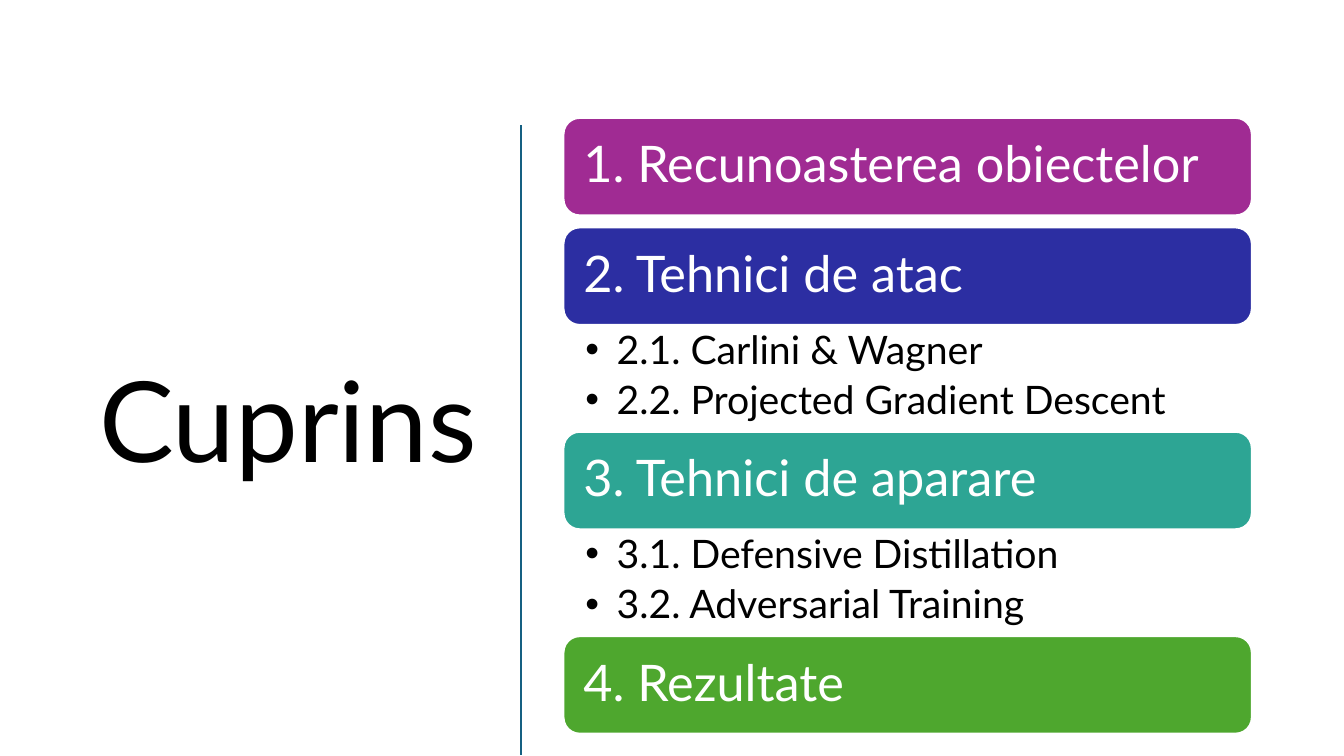
from dataclasses import dataclass

from lxml import etree
from pptx import Presentation
from pptx.dml.color import RGBColor
from pptx.enum.shapes import MSO_CONNECTOR, MSO_SHAPE
from pptx.enum.text import MSO_ANCHOR, MSO_AUTO_SIZE, PP_ALIGN
from pptx.oxml.ns import qn
from pptx.util import Cm, Pt

ROUNDED = MSO_SHAPE.ROUNDED_RECTANGLE
STRAIGHT = MSO_CONNECTOR.STRAIGHT
TOP, MIDDLE = MSO_ANCHOR.TOP, MSO_ANCHOR.MIDDLE
NO_AUTOFIT = MSO_AUTO_SIZE.NONE
LEFT, RIGHT = PP_ALIGN.LEFT, PP_ALIGN.RIGHT

FONT = "Lato"
TWO_CONTENT_LAYOUT = 3
CHAPTER_LEFT, CHAPTER_WIDTH = 14.2, 17.35
CHAPTER_TOP, CHAPTER_HEIGHT = 2.97, 2.46
CHAPTER_GAP = 0.3
TOPICS_HEIGHT = 2.69
TITLE_HEIGHT = 15.52
BULLET_INDENT = 0.79


@dataclass
class Chapter:
    heading: str
    color: str
    topics: tuple[str, ...] = ()


CHAPTERS = [
    Chapter("1. Recunoasterea obiectelor", "A02B93"),
    Chapter("2. Tehnici de atac", "2C2EA2",
            ("2.1. Carlini & Wagner", "2.2. Projected Gradient Descent")),
    Chapter("3. Tehnici de aparare", "2DA594",
            ("3.1. Defensive Distillation", "3.2. Adversarial Training")),
    Chapter("4. Rezultate", "4EA72E"),
]


def rgb(value: str) -> RGBColor:
    return RGBColor.from_string(value)


def place(shape, left: float, top: float, width: float, height: float) -> None:
    shape.left, shape.top = Cm(left), Cm(top)
    shape.width, shape.height = Cm(width), Cm(height)


def set_frame(frame, anchor, left: float, top: float, right: float, bottom: float) -> None:
    frame.word_wrap = True
    frame.auto_size = NO_AUTOFIT
    frame.vertical_anchor = anchor
    frame.margin_left, frame.margin_right = Cm(left), Cm(right)
    frame.margin_top, frame.margin_bottom = Cm(top), Cm(bottom)


def write(paragraph, text: str, size: float, color: str, alignment=LEFT, after: float = 0) -> None:
    paragraph.alignment = alignment
    paragraph.line_spacing = 0.9
    paragraph.space_before = Pt(0)
    paragraph.space_after = Pt(after)
    run = paragraph.add_run()
    run.text = text
    run.font.name = FONT
    run.font.size = Pt(size)
    run.font.color.rgb = rgb(color)


def add_bullet(paragraph) -> None:
    properties = paragraph._p.get_or_add_pPr()
    properties.set("marL", str(Cm(BULLET_INDENT)))
    properties.set("indent", str(-Cm(BULLET_INDENT)))
    etree.SubElement(properties, qn("a:buFont"), typeface="Arial")
    etree.SubElement(properties, qn("a:buChar"), char="•")


def draw_title(title) -> None:
    place(title, 1.32, CHAPTER_TOP, 10.95, TITLE_HEIGHT)
    set_frame(title.text_frame, MIDDLE, 0.25, 0.13, 0.25, 0.13)
    write(title.text_frame.paragraphs[0], "Cuprins", 80, "000000", RIGHT)


def draw_divider(slide) -> None:
    divider = slide.shapes.add_connector(STRAIGHT, Cm(13.13), Cm(3.15), Cm(13.13), Cm(19.03))
    divider.line.color.rgb = rgb("156082")
    divider.line.width = Pt(2)
    etree.SubElement(divider._element.spPr, qn("a:effectLst"))


def draw_heading(slide, chapter: Chapter, top: float) -> None:
    card = slide.shapes.add_shape(ROUNDED, Cm(CHAPTER_LEFT), Cm(top),
                                  Cm(CHAPTER_WIDTH), Cm(CHAPTER_HEIGHT))
    card.shadow.inherit = False
    card.fill.solid()
    card.fill.fore_color.rgb = rgb(chapter.color)
    card.line.color.rgb = rgb("FFFFFF")
    card.line.width = Pt(1.5)
    set_frame(card.text_frame, MIDDLE, 0.38, 0.38, 0.38, 0.38)
    write(card.text_frame.paragraphs[0], chapter.heading, 36, "FFFFFF")


def draw_topics(body, topics: tuple[str, ...], top: float) -> None:
    place(body, CHAPTER_LEFT, top, CHAPTER_WIDTH, TOPICS_HEIGHT)
    frame = body.text_frame
    set_frame(frame, TOP, 0.55, 0.13, 0.71, 0.13)
    for index, topic in enumerate(topics):
        paragraph = frame.add_paragraph() if index else frame.paragraphs[0]
        write(paragraph, topic, 28, "000000", after=5.6)
        add_bullet(paragraph)


def main() -> None:
    presentation = Presentation()
    presentation.slide_width, presentation.slide_height = Cm(33.87), Cm(19.05)
    slide = presentation.slides.add_slide(presentation.slide_layouts[TWO_CONTENT_LAYOUT])
    title, *bodies = slide.placeholders
    draw_title(title)
    draw_divider(slide)
    free_bodies = iter(bodies)
    top = CHAPTER_TOP
    for chapter in CHAPTERS:
        draw_heading(slide, chapter, top)
        top += CHAPTER_HEIGHT
        if chapter.topics:
            draw_topics(next(free_bodies), chapter.topics, top)
            top += TOPICS_HEIGHT
        else:
            top += CHAPTER_GAP
    presentation.save("out.pptx")


if __name__ == "__main__":
    main()
